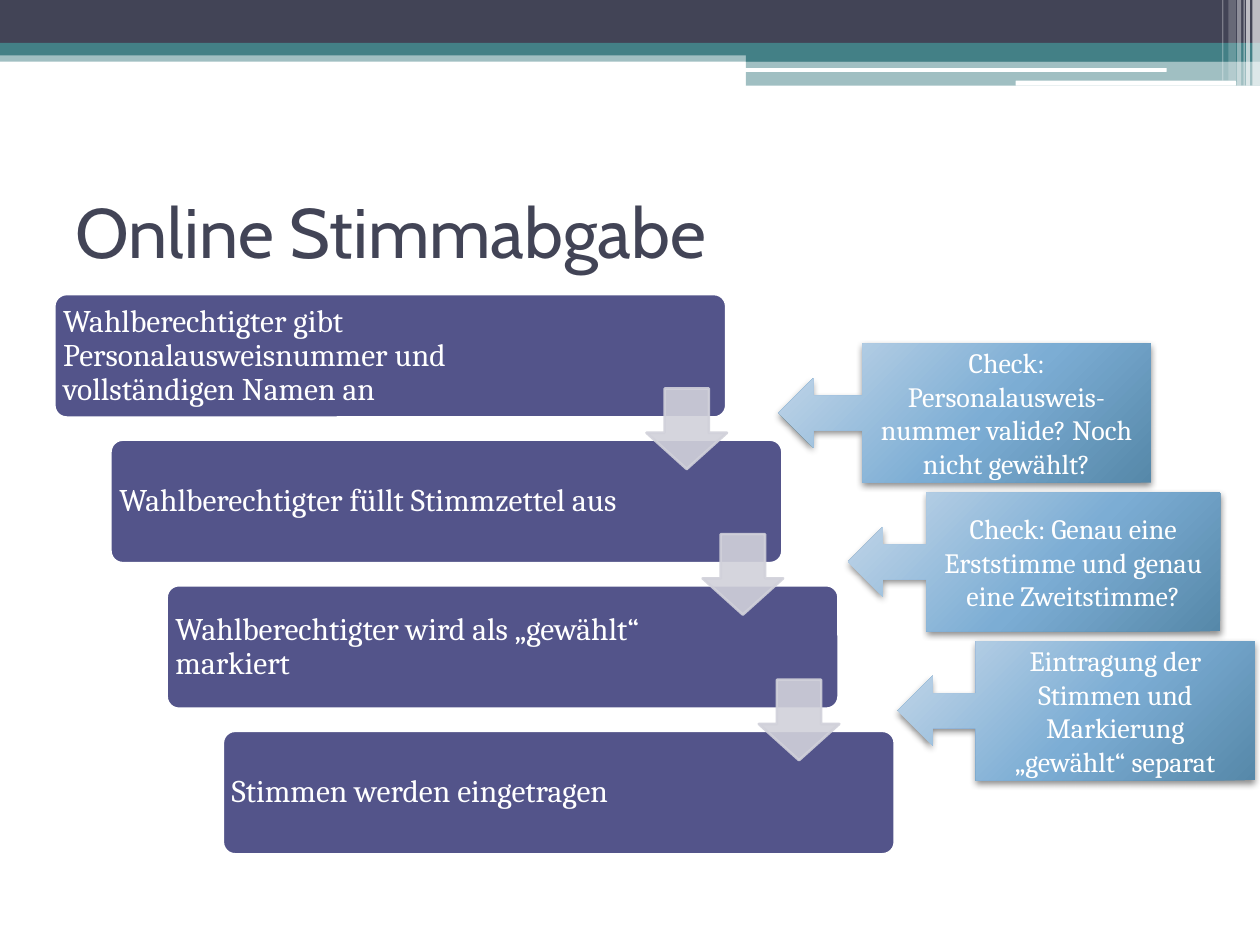
from lxml.etree import SubElement
from pptx import Presentation
from pptx.dml.color import RGBColor
from pptx.enum.shapes import MSO_SHAPE as Shape
from pptx.enum.text import MSO_ANCHOR as Anchor, PP_ALIGN as Align
from pptx.oxml import parse_xml
from pptx.oxml.ns import nsdecls, qn
from pptx.util import Pt

WHITE = RGBColor(0xFF, 0xFF, 0xFF)
DARK = RGBColor(0x42, 0x44, 0x56)
TEAL = RGBColor(0x43, 0x80, 0x86)
PURPLE = RGBColor(0x53, 0x54, 0x8A)
PALE = RGBColor(0xD1, 0xD1, 0xDA)
SHADOW = RGBColor(0, 0, 0)
CALLOUT_STOPS = (
    (0, RGBColor(0xC7, 0xD9, 0xEA)),
    (55, RGBColor(0x7C, 0xAD, 0xD4)),
    (100, RGBColor(0x56, 0x88, 0xA9)),
)
HEADING_FONT, BODY_FONT = "Cabin", "Cambria"

STEPS = (
    "Wahlberechtigter gibt Personalausweisnummer und vollständigen Namen an",
    "Wahlberechtigter füllt Stimmzettel aus",
    "Wahlberechtigter wird als „gewählt“ markiert",
    "Stimmen werden eingetragen",
)
# left, top, width, share of the width taken by the text box, text
CHECKS = (
    (445, 196.2, 212.6, 0.775, "Check: Personalausweis-nummer valide? Noch nicht gewählt?"),
    (513, 366.4, 204, 0.781, "Eintragung der Stimmen und Markierung „gewählt“ separat"),
    (484.6, 281.3, 212.6, 0.789, "Check: Genau eine Erststimme und genau eine Zweitstimme?"),
)


def add_solid(slide, kind, box, color, opacity=100, outline=None, adjustments=()):
    shape = slide.shapes.add_shape(kind, *map(Pt, box))
    shape.shadow.inherit = False
    for index, value in enumerate(adjustments):
        shape.adjustments[index] = value
    shape.fill.solid()
    shape.fill.fore_color.rgb = color
    if outline is None:
        shape.line.fill.background()
    else:
        shape.line.color.rgb = outline
        shape.line.width = Pt(1.5)
    if opacity < 100:
        for tint in list(shape.element.spPr.iter(qn("a:srgbClr"))):
            SubElement(tint, qn("a:alpha"), val=str(opacity * 1000))
    return shape


def write(frame, text, font, size, color, align=Align.LEFT):
    frame.word_wrap = True
    frame.vertical_anchor = Anchor.MIDDLE
    paragraph = frame.paragraphs[0]
    paragraph.alignment = align
    run = paragraph.add_run()
    run.text = text
    run.font.name = font
    run.font.size = Pt(size)
    run.font.color.rgb = color
    return paragraph


def add_header(slide, left, top, width):
    """Colour bands with white rules and fading stripes at the right end."""
    split = 426.2
    bands = (
        (0, 28.8, width, 6.5, TEAL, 50),
        (0, 0, width, 24.5, DARK, 100),
        (0, 24.5, width, 7.2, TEAL, 100),
        (split, 28.1, width - split, 7.2, TEAL, 100),
        (split, 34.6, width - split, 14.4, TEAL, 50),
    )
    rules = ((425.5, 38.9, 241.2, 2.2), (580.3, 46.1, 126, 2.9))
    stripes = (
        (715.7, 4.3, 49, 65), (712.1, 2.2, 49, 65), (710.6, 0.7, 49, 60),
        (707, 2.2, 49, 40), (702, 4.3, 46.1, 20), (698.4, 0.7, 46.1, 30),
    )
    for x, y, w, h, color, opacity in bands:
        add_solid(slide, Shape.RECTANGLE, (left + x, top + y, w, h), color, opacity)
    for x, y, w, h in rules:
        add_solid(slide, Shape.ROUNDED_RECTANGLE, (left + x, top + y, w, h), WHITE)
    for x, w, h, opacity in stripes:
        add_solid(slide, Shape.RECTANGLE, (left + x, top, w, h), WHITE, opacity)


def place_title(slide, left, top, width, height):
    title = slide.shapes.title
    title.left, title.top, title.width, title.height = map(Pt, (left, top, width, height))
    write(title.text_frame, "Online Stimmabgabe", HEADING_FONT, 40, DARK)


def add_staircase(slide, left, top, width, height):
    """Steps that descend to the right, linked by block arrows."""
    step_width, step_height, arrow_size, inset = 384, 70.6, 46, 5.04
    gaps = len(STEPS) - 1
    shift = (width - step_width) / gaps
    drop = (height - step_height) / gaps
    corners = [(left + i * shift, top + i * drop) for i in range(len(STEPS))]
    for (x, y), text in zip(corners, STEPS):
        add_solid(slide, Shape.ROUNDED_RECTANGLE, (x, y, step_width, step_height),
                  PURPLE, outline=WHITE, adjustments=[0.1])
        label = slide.shapes.add_textbox(Pt(x), Pt(y), Pt(306), Pt(step_height))
        frame = label.text_frame
        frame.margin_left = frame.margin_right = Pt(inset)
        frame.margin_top = frame.margin_bottom = Pt(inset)
        write(frame, text, BODY_FONT, 18, WHITE).line_spacing = 0.9
    for x, y in corners[:-1]:
        add_solid(slide, Shape.DOWN_ARROW, (x + 338.4, y + 54, arrow_size, arrow_size),
                  PALE, 90, PALE, (0.55, 0.45))


def add_check(slide, left, top, width, height, text_share, text):
    callout = add_solid(slide, Shape.LEFT_ARROW_CALLOUT, (left, top, width, height),
                        CALLOUT_STOPS[0][1], adjustments=(0.25, 0.25, 0.25, text_share))
    stops = "".join(
        f'<a:gs pos="{position * 1000}"><a:srgbClr val="{color}"/></a:gs>'
        for position, color in CALLOUT_STOPS)
    gradient = parse_xml(
        f'<a:gradFill {nsdecls("a")} rotWithShape="1"><a:gsLst>{stops}</a:gsLst>'
        '<a:path path="circle"><a:fillToRect l="-40000" t="-90000" r="140000" b="190000"/>'
        '</a:path></a:gradFill>')
    properties = callout.element.spPr
    properties.replace(properties.find(qn("a:solidFill")), gradient)
    properties.find(qn("a:effectLst")).append(parse_xml(
        f'<a:outerShdw {nsdecls("a")} blurRad="{Pt(4)}" dist="{Pt(2)}" dir="5400000" '
        f'rotWithShape="0"><a:srgbClr val="{SHADOW}"><a:alpha val="45000"/></a:srgbClr>'
        '</a:outerShdw>'))
    write(callout.text_frame, text, BODY_FONT, 16, WHITE, Align.CENTER)


def main():
    deck = Presentation()
    deck.slide_width, deck.slide_height = Pt(720), Pt(540)
    slide = deck.slides.add_slide(deck.slide_layouts[5])
    add_header(slide, 0, 0, 720)
    place_title(slide, 36, 90, 648, 84)
    add_staircase(slide, 31, 168, 480.3, 320.2)
    for left, top, width, text_share, text in CHECKS:
        add_check(slide, left, top, width, 79.5, text_share, text)
    deck.save("out.pptx")


if __name__ == "__main__":
    main()
